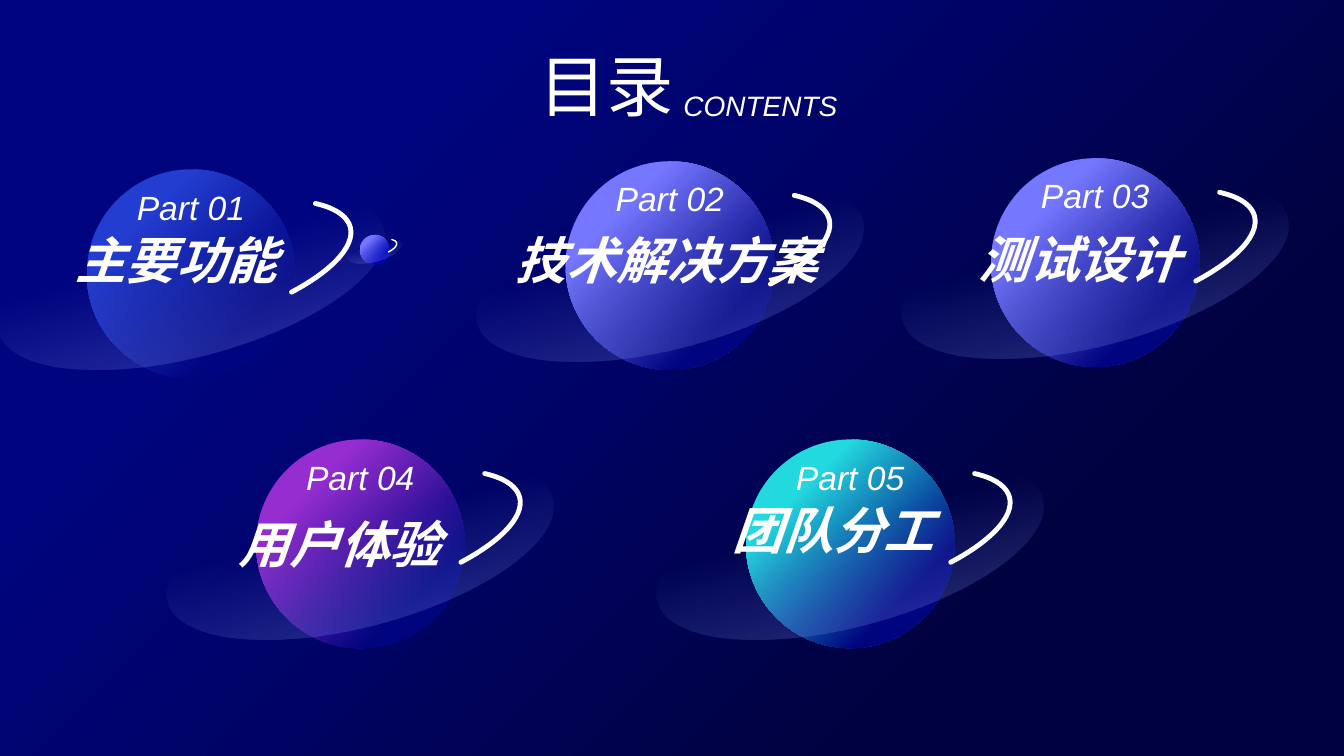
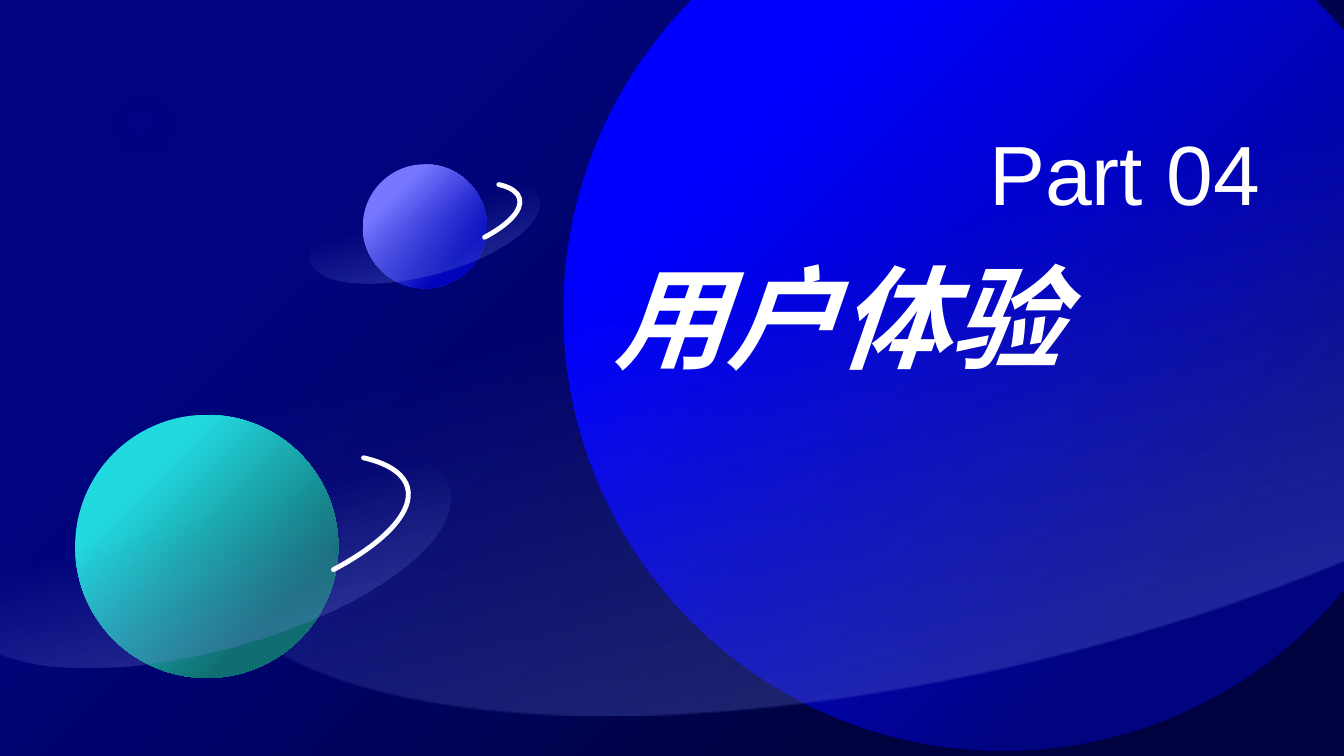
import pptx
import pptx.dml.color
import pptx.enum.shapes
import pptx.enum.text
import pptx.oxml
import pptx.oxml.ns
import pptx.util

WIDTH, HEIGHT = pptx.util.Inches(13.333), pptx.util.Inches(7.5)
COLUMN, ROW = WIDTH / 100, HEIGHT / 100

FONT = "Arial"
WHITE = "FFFFFF"
NAVY, MIDNIGHT, ROYAL, BLUE = "00047F", "000240", "0004BA", "0000FF"
COBALT, LILAC, PURPLE = "233DD0", "7578FF", "952DD0"
CYAN, TEAL, RING = "23D9E0", "106E72", "7687E8"

RING_TILT = -14.9
ARC_ANGLES = (346.95, 27.59)
LABEL_RISE = 12.2

SHAPES = pptx.enum.shapes.MSO_SHAPE
ALIGN = pptx.enum.text.PP_ALIGN


def color(hex_string):
    return pptx.dml.color.RGBColor.from_string(hex_string)


def drawing_element(tag, **attributes):
    element = pptx.oxml.parse_xml(f"<a:{tag} {pptx.oxml.ns.nsdecls('a')}/>")
    for name, value in attributes.items():
        element.set(name, str(value))
    return element


def fill_gradient(fill, colors, positions=(0.25, 0.76), angle=45, alphas=(100, 100)):
    """Fill linearly; angle runs clockwise in degrees, alphas are percentages."""
    fill.gradient()
    fill.gradient_angle = 360 - angle
    for stop, hex_string, position, alpha in zip(
        fill.gradient_stops, colors, positions, alphas
    ):
        stop.position = position
        stop.color.rgb = color(hex_string)
        if alpha < 100:
            element = stop._gs.find(pptx.oxml.ns.qn("a:srgbClr"))
            element.append(drawing_element("alpha", val=alpha * 1000))


def add_centered(slide, kind, x, y, width, height):
    """Add an outline-free shape; x and y are its centre in EMU."""
    shape = slide.shapes.add_shape(
        kind, int(x - width / 2), int(y - height / 2), int(width), int(height)
    )
    shape.shadow.inherit = False
    shape.line.fill.background()
    return shape


def add_globe(slide, column, row, diameter, colors, alpha=100):
    size = diameter * COLUMN
    globe = add_centered(slide, SHAPES.OVAL, column * COLUMN, row * ROW, size, size)
    fill_gradient(globe.fill, colors, alphas=(alpha, alpha))
    return globe


def add_planet(slide, column, row, diameter, colors, arc_width=3.5):
    """Add a globe with its translucent ring and, given a width, a bright arc."""
    add_globe(slide, column, row, diameter, colors)
    x, y, size = column * COLUMN, row * ROW, diameter * COLUMN

    ring = add_centered(
        slide, SHAPES.OVAL, x, y + 0.03 * size, 1.91 * size, 0.73 * size
    )
    ring.rotation = RING_TILT
    fill_gradient(ring.fill, (RING, RING), (0.42, 1), 90, (0, 50))

    if arc_width:
        arc = add_centered(
            slide, SHAPES.ARC, x, y - 0.02 * size, 1.58 * size, 0.55 * size
        )
        arc.rotation = RING_TILT
        for index, angle in enumerate(ARC_ANGLES):
            arc.adjustments[index] = angle * 0.6
        arc.fill.background()
        arc.line.color.rgb = color(WHITE)
        arc.line.width = pptx.util.Pt(arc_width)
        arc._element.spPr.find(pptx.oxml.ns.qn("a:ln")).set("cap", "rnd")


def add_glow(slide, column, row, diameter, colors, alpha, softness):
    """Add a globe whose edge fades over the given number of columns."""
    glow = add_globe(slide, column, row, diameter, colors, alpha)
    effects = glow._element.spPr.find(pptx.oxml.ns.qn("a:effectLst"))
    effects.append(drawing_element("softEdge", rad=int(softness * COLUMN)))


def add_text(slide, text, column, row, columns, rows, size,
             bold=False, italic=False, align=ALIGN.JUSTIFY, wrap=True):
    box = slide.shapes.add_textbox(
        int(column * COLUMN), int(row * ROW), int(columns * COLUMN), int(rows * ROW)
    )
    frame = box.text_frame
    frame.word_wrap = wrap
    frame.auto_size = pptx.enum.text.MSO_AUTO_SIZE.SHAPE_TO_FIT_TEXT
    paragraph = frame.paragraphs[0]
    paragraph.alignment = align
    run = paragraph.add_run()
    run.text = text
    run.font.name = FONT
    run.font.size = pptx.util.Pt(size)
    run.font.bold = bold
    run.font.italic = italic
    run.font.color.rgb = color(WHITE)


def add_space_slide(presentation):
    slide = presentation.slides.add_slide(presentation.slide_layouts[6])
    fill_gradient(slide.background.fill, (NAVY, MIDNIGHT))
    return slide


def build_contents(presentation):
    slide = add_space_slide(presentation)
    add_text(slide, "目录", 39.37, 5.2, 11.85, 12.13, 48)
    add_text(slide, "CONTENTS", 50.1, 11.07, 13.35, 5.87, 20, italic=True)

    # Title, planet colour, planet centre, then left, top and width of the title.
    parts = [
        ("主要功能", COBALT, 14.21, 36.2, 4.87, 29.6, 18.75),
        ("技术解决方案", LILAC, 49.84, 35.13, 37.65, 29.6, 24.75),
        ("测试设计", LILAC, 81.49, 34.73, 72.08, 29.5, 18.75),
        ("用户体验", PURPLE, 26.81, 71.93, 17.02, 67.2, 19.5),
        ("团队分工", CYAN, 63.26, 71.93, 53.78, 65.33, 18.3),
    ]
    label_width = 9.68
    for number, (title, tint, x, y, left, top, width) in enumerate(parts, 1):
        add_planet(slide, x, y, 15.53, (tint, NAVY))
        add_text(slide, title, left, top, width, 9.47, 36, bold=True, italic=True)
        add_text(slide, f"Part {number:02}", x - label_width / 2, y - LABEL_RISE,
                 label_width, 6.67, 24, italic=True, align=ALIGN.CENTER, wrap=False)
    add_planet(slide, 27.86, 33, 2.18, (LILAC, ROYAL), arc_width=1)


def build_section(presentation):
    slide = add_space_slide(presentation)
    add_planet(slide, 74.66, 41.07, 65.48, (BLUE, NAVY), arc_width=None)
    add_text(slide, "用户体验", 44.92, 32.27, 49.5, 19.33, 80, bold=True, italic=True)
    add_text(slide, "Part 04", 72.82, 15.47, 21.67, 14.8, 60,
             align=ALIGN.RIGHT, wrap=False)
    add_planet(slide, 31.61, 29.93, 9.23, (LILAC, ROYAL))
    add_glow(slide, 10.73, 16.47, 7.2, (BLUE, NAVY), 50, 2.2)
    add_glow(slide, 15.11, 43.53, 6.08, (CYAN, NAVY), 8, 2)
    add_planet(slide, 15.38, 72.27, 19.58, (CYAN, TEAL))


def main():
    presentation = pptx.Presentation()
    presentation.slide_width, presentation.slide_height = WIDTH, HEIGHT
    build_contents(presentation)
    build_section(presentation)
    presentation.save("out.pptx")


if __name__ == "__main__":
    main()
